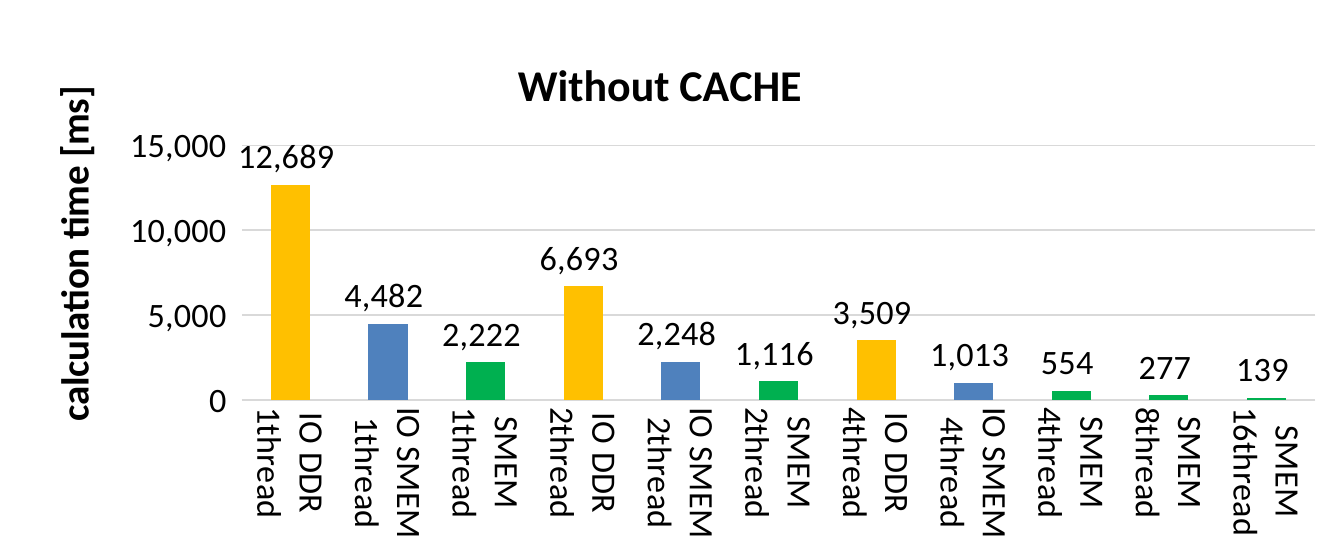
from dataclasses import dataclass

from lxml import etree
from pptx import Presentation
from pptx import util as u
from pptx.chart import data as chart_data
from pptx.dml.color import RGBColor
from pptx.enum import chart as ch
from pptx.oxml import ns


@dataclass(frozen=True)
class Theme:
    font: str = "Calibri"
    text: str = "000000"
    grid: str = "D9D9D9"
    io_ddr: str = "FFC000"
    io_smem: str = "4F81BD"
    smem: str = "00B050"
    title_size: int = 18
    axis_title_size: int = 16
    label_size: int = 14
    base_size: int = 10
    line_width: float = 0.75


THEME = Theme()
MEMORY_COLORS = {
    "IO DDR": THEME.io_ddr,
    "IO SMEM": THEME.io_smem,
    "SMEM": THEME.smem,
}
# Memory, number of threads, calculation time in ms
TIMINGS = [
    ("IO DDR", 1, 12689),
    ("IO SMEM", 1, 4482),
    ("SMEM", 1, 2222),
    ("IO DDR", 2, 6693),
    ("IO SMEM", 2, 2248),
    ("SMEM", 2, 1116),
    ("IO DDR", 4, 3509),
    ("IO SMEM", 4, 1013),
    ("SMEM", 4, 554),
    ("SMEM", 8, 277),
    ("SMEM", 16, 139),
]
NUMBER_FORMAT = r"#,##0_);[Red]\(#,##0\)"


def format_font(font, size, bold=False):
    font.name = THEME.font
    font.size = u.Pt(size)
    font.bold = bold
    font.color.rgb = RGBColor.from_string(THEME.text)


def format_line(line):
    line.color.rgb = RGBColor.from_string(THEME.grid)
    line.width = u.Pt(THEME.line_width)


def set_title(title, content, size, bold=True):
    frame = title.text_frame
    frame.text = content
    format_font(frame.paragraphs[0].runs[0].font, size, bold)


def set_layout(element, inner=False, **fractions):
    """Place a chart part by fractions (x, y, w, h) of the chart's size."""
    for layout in element.findall(ns.qn("c:layout")):
        element.remove(layout)
    layout = etree.Element(ns.qn("c:layout"))
    manual = etree.SubElement(layout, ns.qn("c:manualLayout"))
    settings = {"layoutTarget": "inner"} if inner else {}
    settings |= {"xMode": "edge", "yMode": "edge", **fractions}
    for name, value in settings.items():
        etree.SubElement(manual, ns.qn(f"c:{name}")).set("val", str(value))
    element.insert(0 if element.find(ns.qn("c:tx")) is None else 1, layout)


def add_timing_chart(slide):
    data = chart_data.CategoryChartData(number_format=NUMBER_FORMAT)
    data.categories = [f"{memory}\n{threads}thread" for memory, threads, _ in TIMINGS]
    data.add_series("Series 1", [time for _, _, time in TIMINGS])
    frame = slide.shapes.add_chart(
        ch.XL_CHART_TYPE.COLUMN_CLUSTERED,
        u.Inches(0), u.Inches(0.01), u.Inches(7.64), u.Inches(3.15), data,
    )
    chart = frame.chart
    chart.has_legend = False
    format_font(chart.font, THEME.base_size)
    set_title(chart.chart_title, "Without CACHE", THEME.title_size)
    set_layout(chart.chart_title._element, x=0.38, y=0.08)
    plot_area = chart._chartSpace.find(f".//{ns.qn('c:plotArea')}")
    set_layout(plot_area, inner=True, x=0.18, y=0.26, w=0.8, h=0.46)
    return chart


def format_axes(chart):
    category_axis, value_axis = chart.category_axis, chart.value_axis
    for axis in (category_axis, value_axis):
        axis.major_tick_mark = ch.XL_TICK_MARK.NONE
        axis.minor_tick_mark = ch.XL_TICK_MARK.NONE
        format_font(axis.tick_labels.font, THEME.label_size)

    format_line(category_axis.format.line)
    label_body = category_axis._element.find(f"{ns.qn('c:txPr')}/{ns.qn('a:bodyPr')}")
    label_body.set("rot", "5400000")
    label_body.set("vert", "horz")

    value_axis.minimum_scale = 0
    value_axis.maximum_scale = 15000
    value_axis.major_unit = 5000
    value_axis.tick_labels.number_format = NUMBER_FORMAT
    value_axis.tick_labels.number_format_is_linked = False
    value_axis.format.line.fill.background()
    format_line(value_axis.major_gridlines.format.line)
    title = value_axis.axis_title
    set_title(title, "calculation time [ms]", THEME.axis_title_size)
    title_body = title.text_frame._txBody.find(ns.qn("a:bodyPr"))
    title_body.set("rot", "-5400000")
    title_body.set("vert", "horz")
    set_layout(title._element, x=0.03, y=0.14)


def format_columns(chart):
    plot = chart.plots[0]
    plot.gap_width = 150
    plot.vary_by_categories = False
    series = plot.series[0]
    series.invert_if_negative = False
    series.format.fill.solid()
    series.format.fill.fore_color.rgb = RGBColor.from_string(THEME.io_smem)
    for index, (memory, _, _) in enumerate(TIMINGS):
        if memory != "IO SMEM":
            fill = series.points[index].format.fill
            fill.solid()
            fill.fore_color.rgb = RGBColor.from_string(MEMORY_COLORS[memory])

    labels = series.data_labels
    labels.show_value = True
    labels.position = ch.XL_LABEL_POSITION.OUTSIDE_END
    labels.number_format = NUMBER_FORMAT
    labels.number_format_is_linked = False
    format_font(labels.font, THEME.label_size)


def main():
    presentation = Presentation()
    presentation.slide_width = u.Inches(7.65)
    presentation.slide_height = u.Inches(3.17)
    slide = presentation.slides.add_slide(presentation.slide_layouts[6])
    chart = add_timing_chart(slide)
    format_axes(chart)
    format_columns(chart)
    presentation.save("out.pptx")


if __name__ == "__main__":
    main()
